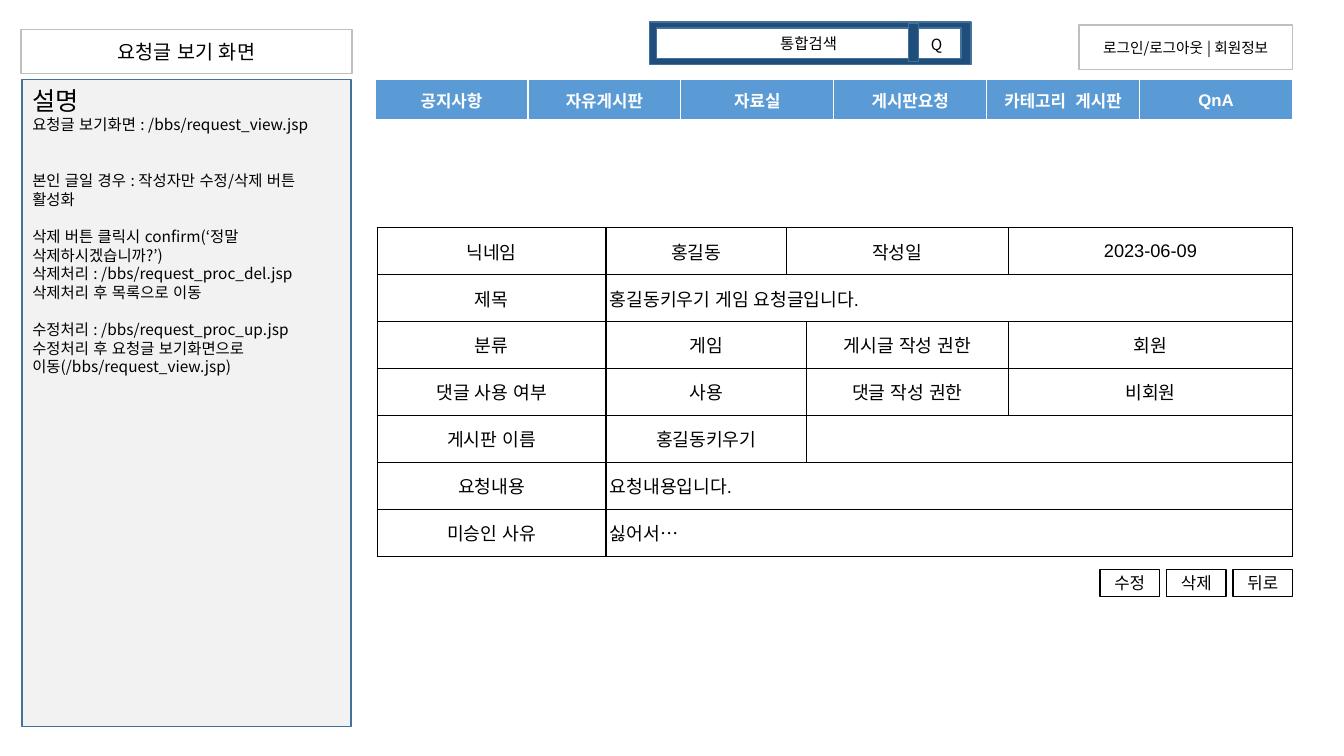
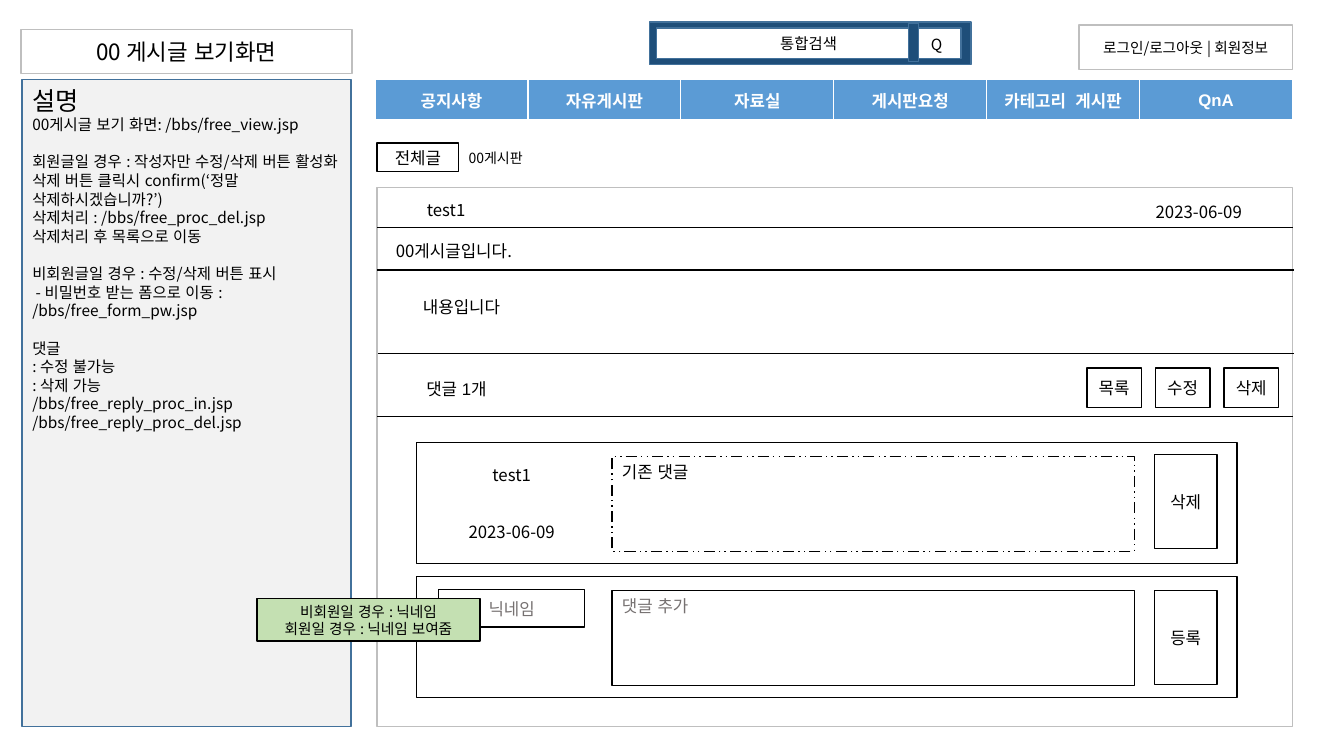
from lxml import etree
from pptx import Presentation
from pptx.dml.color import RGBColor
from pptx.enum.dml import MSO_LINE
from pptx.enum.lang import MSO_LANGUAGE_ID
from pptx.enum.shapes import MSO_CONNECTOR, MSO_SHAPE
from pptx.enum.text import MSO_ANCHOR, MSO_AUTO_SIZE, PP_ALIGN
from pptx.oxml.ns import qn
from pptx.util import Emu, Pt

RECT, STRAIGHT = MSO_SHAPE.RECTANGLE, MSO_CONNECTOR.STRAIGHT
LEFT, CENTER = PP_ALIGN.LEFT, PP_ALIGN.CENTER
TOP, MIDDLE = MSO_ANCHOR.TOP, MSO_ANCHOR.MIDDLE
DASHED = MSO_LINE.DASH_DOT_DOT
NO_FIT, KOREAN = MSO_AUTO_SIZE.NONE, MSO_LANGUAGE_ID.KOREAN

PX = 9144
SANS, ARIAL = "Noto Sans CJK KR", "Arial"
COLORS = {
    "black": "000000", "white": "FFFFFF", "silver": "BFBFBF", "hint": "767171",
    "navy": "1E4E79", "edge": "42719B", "nav": "5B9BD5", "notes": "F2F2F2",
    "tip": "C4E0B2",
}

MENU = ["공지사항", "자유게시판", "자료실", "게시판요청", "카테고리  게시판", "QnA"]

REQUEST_TITLE = ("요청글 보기 화면", 14)
REQUEST_NOTES = [
    (0, "요청글 보기화면 : /bbs/request_view.jsp"),
    (2, "본인 글일 경우 : 작성자만 수정/삭제 버튼 활성화"),
    (1, "삭제 버튼 클릭시 confirm(‘정말 삭제하시겠습니까?’)"),
    (0, "삭제처리 : /bbs/request_proc_del.jsp"),
    (0, "삭제처리 후 목록으로 이동"),
    (1, "수정처리 : /bbs/request_proc_up.jsp"),
    (0, "수정처리 후 요청글 보기화면으로 이동(/bbs/request_view.jsp)"),
]
REQUEST_COLUMNS = [227, 179, 20, 200, 282]
REQUEST_ROWS = [
    [("닉네임", 1), ("홍길동", 1), ("작성일", 2), ("2023-06-09", 1)],
    [("제목", 1), ("홍길동키우기 게임 요청글입니다.", 4)],
    [("분류", 1), ("게임", 2), ("게시글 작성 권한", 1), ("회원", 1)],
    [("댓글 사용 여부", 1), ("사용", 2), ("댓글 작성 권한", 1), ("비회원", 1)],
    [("게시판 이름", 1), ("홍길동키우기", 2), ("", 2)],
    [("요청내용", 1), ("요청내용입니다.", 4)],
    [("미승인 사유", 1), ("싫어서…", 4)],
]
REQUEST_BUTTONS = ["수정", "삭제", "뒤로"]

POST_TITLE = ("00 게시글 보기화면", 16)
POST_NOTES = [
    (0, "00게시글 보기 화면: /bbs/free_view.jsp"),
    (1, "회원글일 경우 : 작성자만 수정/삭제 버튼 활성화"),
    (0, "삭제 버튼 클릭시 confirm(‘정말 삭제하시겠습니까?’)"),
    (0, "삭제처리 : /bbs/free_proc_del.jsp"),
    (0, "삭제처리 후 목록으로 이동"),
    (1, "비회원글일 경우 : 수정/삭제 버튼 표시"),
    (0, " - 비밀번호 받는 폼으로 이동 : /bbs/free_form_pw.jsp"),
    (1, "댓글"),
    (0, ": 수정 불가능"),
    (0, ": 삭제 가능"),
    (0, "/bbs/free_reply_proc_in.jsp"),
    (0, "/bbs/free_reply_proc_del.jsp"),
]
POST_TEXTS = [
    ("test1", (374, 191, 137, 35), CENTER, MIDDLE, SANS),
    ("2023-06-09", (1098, 194, 182, 32), CENTER, MIDDLE, SANS),
    (" 00게시글입니다.", (379, 232, 862, 33), LEFT, MIDDLE, SANS),
    (" 내용입니다", (405, 289, 863, 56), LEFT, TOP, SANS),
    ("댓글 1개", (413, 371, 166, 30), LEFT, MIDDLE, ARIAL),
]
POST_RULES = [(374, 226, 1282, 0.75), (374, 268, 1283, 1),
              (375, 351, 1283, 0.75), (374, 413, 1282, 0.75)]
POST_BUTTONS = ["목록", "수정", "삭제"]
COMMENT_CARDS = [
    {"top": 439, "names": [("test1", 13), ("2023-06-09", 70)], "name_line": None,
     "reply": "기존 댓글", "ink": "black", "dash": DASHED,
     "button": "삭제", "button_offset": 12},
    {"top": 572, "names": [("닉네임", 13)], "name_line": "black",
     "reply": "댓글 추가", "ink": "hint", "dash": None,
     "button": "등록", "button_offset": 14},
]
MEMBER_TIP = "비회원일 경우 : 닉네임\n회원일 경우 : 닉네임 보여줌"


def rgb(name):
    return RGBColor.from_string(COLORS[name])


def style_para(para, size, ink="black", align=LEFT, face=SANS, bold=False):
    para.alignment = align
    for span in para.runs:
        font = span.font
        font.size, font.bold, font.name = Pt(size), bold, face
        font.color.rgb = rgb(ink)
        font.language_id = KOREAN
        etree.SubElement(span._r.get_or_add_rPr(), qn("a:ea"), typeface=SANS)


def place(shape, spot):
    shape.left, shape.top, shape.width, shape.height = (Emu(n * PX) for n in spot)


def paint(shape, fill, line, dash=None):
    if fill:
        shape.fill.solid()
        shape.fill.fore_color.rgb = rgb(fill)
    else:
        shape.fill.background()
    if line:
        shape.line.color.rgb = rgb(line)
        shape.line.width = Pt(1)
        if dash:
            shape.line.dash_style = dash
    else:
        shape.line.fill.background()


def set_frame(frame, anchor):
    frame.word_wrap = True
    frame.auto_size = NO_FIT
    frame.vertical_anchor = anchor
    frame.margin_left = frame.margin_right = Emu(10 * PX)
    frame.margin_top = frame.margin_bottom = Emu((5 if anchor == TOP else 0) * PX)


def write(shape, text, size, ink="black", align=CENTER, anchor=MIDDLE, face=SANS):
    frame = shape.text_frame
    set_frame(frame, anchor)
    frame.text = text
    for para in frame.paragraphs:
        style_para(para, size, ink, align, face)
        para.line_spacing = Pt(round(size * 1.21, 1))


def add_box(shapes, spot, text="", size=12, fill="white", line="black", dash=None, **look):
    box = shapes.add_shape(RECT, *(Emu(n * PX) for n in spot))
    box.shadow.inherit = False
    paint(box, fill, line, dash)
    if text:
        write(box, text, size, **look)


def add_text(shapes, spot, text, size=12, **look):
    box = shapes.add_textbox(*(Emu(n * PX) for n in spot))
    write(box, text, size, **look)


def add_rule(page, left, top, right, width):
    rule = page.shapes.add_connector(
        STRAIGHT, Emu(left * PX), Emu(top * PX), Emu(right * PX), Emu(top * PX))
    rule.line.color.rgb = rgb("black")
    rule.line.width = Pt(width)
    etree.SubElement(rule._element.spPr, qn("a:effectLst"))


def add_grid(page, spot, rows, columns):
    frame = page.shapes.add_table(rows, columns, *(Emu(n * PX) for n in spot))
    table = frame.table
    table.first_row = table.horz_banding = False
    return table


def style_cell(cell, border, widths, margins, fill=None):
    properties = cell._tc.get_or_add_tcPr()
    for side, width in zip("LRTB", widths):
        edge = etree.SubElement(properties, qn(f"a:ln{side}"), w=str(int(Pt(width))))
        solid = etree.SubElement(edge, qn("a:solidFill"))
        etree.SubElement(solid, qn("a:srgbClr"), val=COLORS[border])
    if fill:
        cell.fill.solid()
        cell.fill.fore_color.rgb = rgb(fill)
    else:
        cell.fill.background()
    cell.vertical_anchor = MIDDLE
    cell.margin_left = cell.margin_right = Emu(margins[0] * PX)
    cell.margin_top = cell.margin_bottom = Emu(margins[1] * PX)


def fill_cell(cell, text, size, **look):
    cell.text_frame.text = text
    style_para(cell.text_frame.paragraphs[0], size, face=ARIAL, **look)


def add_notes(body, notes):
    place(body, (22, 79, 326, 642))
    paint(body, "notes", "edge")
    write(body, "\n".join(["설명"] + [text for _, text in notes]), 11, align=LEFT, anchor=TOP)
    paras = body.text_frame.paragraphs
    paras[0].runs[0].font.size = Pt(18)
    paras[0].line_spacing = Pt(21.8)
    for para, gap in zip(paras, [0] + [gap for gap, _ in notes]):
        para.space_before = Pt(gap * 13.3)
        properties = para._p.get_or_add_pPr()
        properties.set("marL", "0")
        properties.set("indent", "0")
        etree.SubElement(properties, qn("a:buNone"))


def add_page(deck, title, notes):
    page = deck.slides.add_slide(deck.slide_layouts[1])
    heading, body = page.placeholders
    place(heading, (21, 29, 328, 44))
    paint(heading, "white", "silver")
    write(heading, *title)
    add_notes(body, notes)
    add_box(page.shapes, (1070, 25, 212, 44), "로그인/로그아웃 | 회원정보", 10.5, line="silver")
    search = page.shapes.add_group_shape().shapes
    add_box(search, (644, 22, 319, 42), fill="navy", line="edge")
    add_box(search, (651, 28, 302, 30), "통합검색", 11, line="edge")
    add_box(search, (901, 23, 10, 38), fill="navy", line="edge")
    add_text(search, (905, 24, 48, 40), "Q", 11)
    menu = add_grid(page, (372, 79, 910, 41), 1, len(MENU))
    for cell, label in zip(menu.iter_cells(), MENU):
        style_cell(cell, "white", (1, 1, 1, 3), (10, 5), "nav")
        fill_cell(cell, label, 12, ink="white", align=CENTER, bold=True)
    return page


def add_buttons(page, labels, left, top, step, size):
    for index, label in enumerate(labels):
        add_box(page.shapes, (left + step * index, top, *size), label)


def build_request(deck):
    page = add_page(deck, REQUEST_TITLE, REQUEST_NOTES)
    table = add_grid(page, (374, 226, 908, 326), len(REQUEST_ROWS), len(REQUEST_COLUMNS))
    for column, width in zip(table.columns, REQUEST_COLUMNS):
        column.width = Emu(width * PX)
    for cell in table.iter_cells():
        style_cell(cell, "black", (1, 1, 1, 1), (4, 2))
    for row, entries in enumerate(REQUEST_ROWS):
        column = 0
        for text, span in entries:
            cell = table.cell(row, column)
            if span > 1:
                cell.merge(table.cell(row, column + span - 1))
            if text:
                fill_cell(cell, text, 13, align=LEFT if span == 4 else CENTER)
            column += span
    add_buttons(page, REQUEST_BUTTONS, 1091, 565, 66, (59, 27))


def add_comment(page, card):
    top = card["top"]
    add_box(page.shapes, (413, top, 814, 120))
    for name, offset in card["names"]:
        add_box(page.shapes, (435, top + offset, 145, 37), name,
                line=card["name_line"], ink=card["ink"])
    add_box(page.shapes, (607, top + 14, 518, 94), card["reply"], dash=card["dash"],
            ink=card["ink"], align=LEFT, anchor=TOP)
    add_box(page.shapes, (1145, top + card["button_offset"], 62, 93), card["button"])


def build_post(deck):
    page = add_page(deck, POST_TITLE, POST_NOTES)
    add_box(page.shapes, (374, 142, 81, 28), "전체글")
    add_text(page.shapes, (455, 143, 114, 27), "00게시판", 10, align=LEFT)
    add_box(page.shapes, (374, 186, 908, 535), line="silver")
    for text, spot, align, anchor, face in POST_TEXTS:
        add_text(page.shapes, spot, text, align=align, anchor=anchor, face=face)
    for rule in POST_RULES:
        add_rule(page, *rule)
    add_buttons(page, POST_BUTTONS, 1078, 365, 68, (54, 39))
    for card in COMMENT_CARDS:
        add_comment(page, card)
    add_box(page.shapes, (255, 594, 221, 42), MEMBER_TIP, 10.5, fill="tip")


def main():
    deck = Presentation()
    deck.slide_width, deck.slide_height = Emu(1333 * PX), Emu(750 * PX)
    build_request(deck)
    build_post(deck)
    deck.save("out.pptx")


if __name__ == "__main__":
    main()
